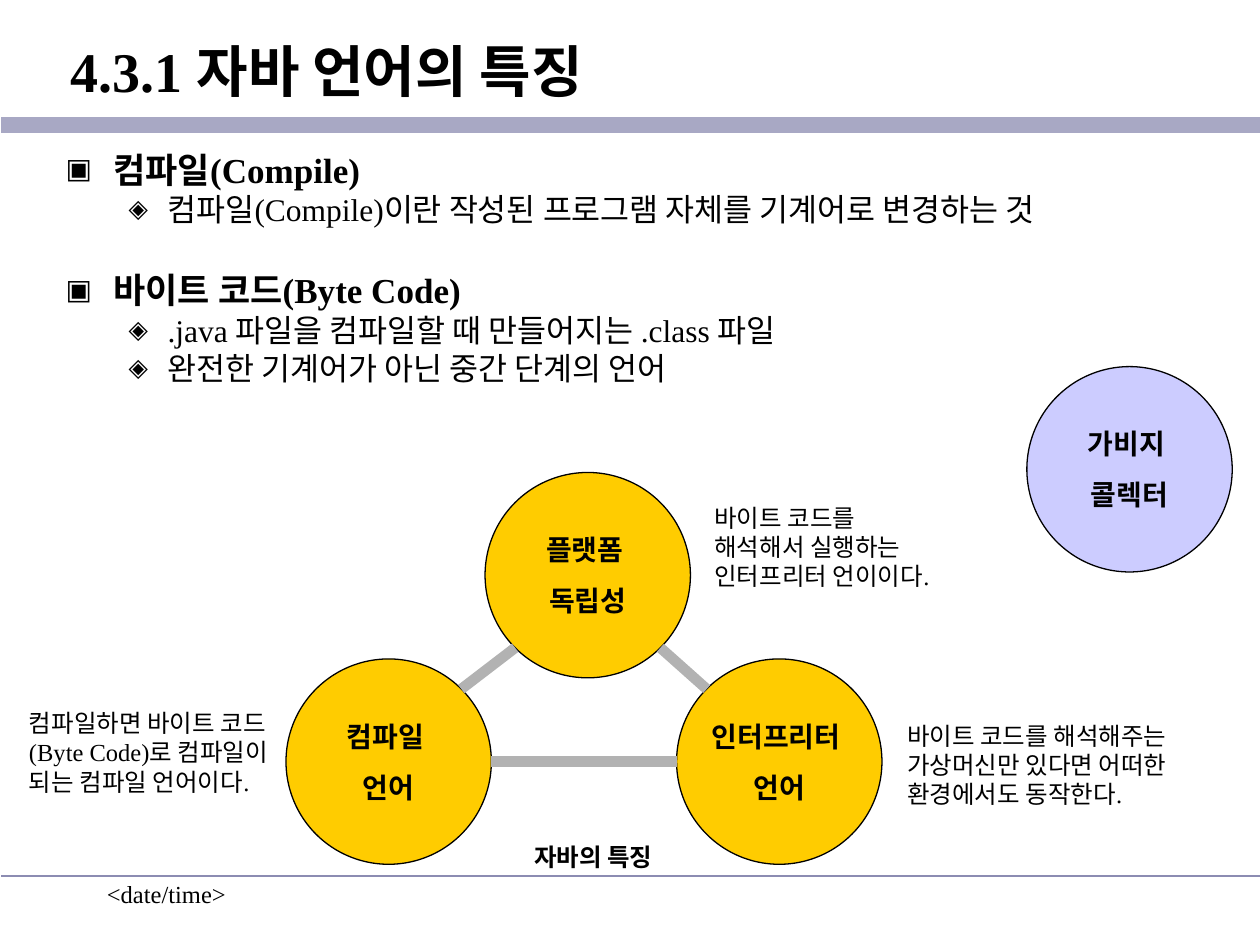
from dataclasses import dataclass
from math import cos, radians, sin

from lxml.etree import SubElement
from pptx import Presentation
from pptx.dml.color import RGBColor
from pptx.enum.shapes import MSO_CONNECTOR, MSO_SHAPE
from pptx.enum.text import MSO_ANCHOR as Anchor, MSO_AUTO_SIZE as AutoSize, PP_ALIGN as Align
from pptx.oxml.ns import qn
from pptx.util import Inches, Pt


@dataclass(frozen=True)
class Theme:
    font: str = "Times New Roman"
    ink: str = "000000"
    band: str = "A8A8C4"
    footer_rule: str = "8C8CB2"
    feature: str = "FFCC00"
    collector: str = "CCCCFF"
    link: str = "B2B2B2"
    title: int = 32
    heading: int = 20
    detail: int = 18
    label: int = 16
    note: int = 14


THEME = Theme()
DIAMETER = 1.63
LEVELS = (
    {"size": THEME.heading, "bold": True, "bullet": "▣", "margin": 0.38, "indent": -0.38, "before": 5},
    {"size": THEME.detail, "bold": False, "bullet": "◈", "margin": 0.81, "indent": -0.31, "before": 4.5},
)
SECTION_GAP = 28
OUTLINE = (
    (0, "컴파일(Compile)"),
    (1, "컴파일(Compile)이란 작성된 프로그램 자체를 기계어로 변경하는 것"),
    (0, "바이트 코드(Byte Code)"),
    (1, ".java 파일을 컴파일할 때 만들어지는 .class 파일"),
    (1, "완전한 기계어가 아닌 중간 단계의 언어"),
)
CIRCLES = {
    "platform": (3.85, 3.75, THEME.feature, ("플랫폼 ", "독립성")),
    "compiled": (2.27, 5.23, THEME.feature, ("컴파일 ", "언어")),
    "interpreted": (5.37, 5.23, THEME.feature, ("인터프리터 ", "언어")),
    "collector": (8.15, 2.91, THEME.collector, ("가비지 ", "콜렉터")),
}
LINKS = (
    ("platform", 135, "compiled", -45),
    ("interpreted", 180, "compiled", 0),
    ("platform", 45, "interpreted", -135),
)
NOTES = (
    (0.18, 5.57, 2.19, "컴파일하면 바이트 코드(Byte Code)로 컴파일이 되는 컴파일 언어이다."),
    (5.62, 3.94, 1.92, "바이트 코드를 해석해서 실행하는 인터프리터 언이이다."),
    (7.15, 5.67, 2.38, "바이트 코드를 해석해주는 가상머신만 있다면 어떠한 환경에서도 동작한다."),
)


def apply(target, values):
    for name, value in values.items():
        setattr(target, name, value)


def style(paragraph, size, bold=False):
    apply(paragraph.font, {"name": THEME.font, "size": Pt(size), "bold": bold})
    paragraph.font.color.rgb = RGBColor.from_string(THEME.ink)


def place(shape, left, top, width, height):
    apply(shape, {"left": Inches(left), "top": Inches(top),
                  "width": Inches(width), "height": Inches(height)})


def add_bullet(paragraph, level):
    properties = paragraph._p.get_or_add_pPr()
    properties.set("marL", str(Inches(level["margin"])))
    properties.set("indent", str(Inches(level["indent"])))
    color = SubElement(properties, qn("a:buClr"))
    SubElement(color, qn("a:srgbClr"), val=THEME.ink)
    SubElement(properties, qn("a:buSzPct"), val="80000")
    SubElement(properties, qn("a:buChar"), char=level["bullet"])


def fill_title(title):
    place(title, 0.01, 0.11, 9.99, 0.9)
    apply(title.text_frame, {"text": "4.3.1 자바 언어의 특징", "margin_left": Inches(0.55),
                             "vertical_anchor": Anchor.MIDDLE, "auto_size": AutoSize.NONE})
    heading = title.text_frame.paragraphs[0]
    heading.alignment = Align.LEFT
    style(heading, THEME.title, True)


def fill_outline(body):
    place(body, 0.42, 1.19, 9.16, 2.02)
    frame = body.text_frame
    apply(frame, {"text": "\n".join(text for _, text in OUTLINE), "auto_size": AutoSize.NONE})
    for index, (paragraph, (depth, _)) in enumerate(zip(frame.paragraphs, OUTLINE)):
        level = LEVELS[depth]
        add_bullet(paragraph, level)
        before = level["before"] if depth else SECTION_GAP
        apply(paragraph, {"level": depth, "line_spacing": 0.8,
                          "space_before": Pt(before if index else 0)})
        style(paragraph, level["size"], level["bold"])


def add_line(slide, start, end, color, width):
    line = slide.shapes.add_connector(MSO_CONNECTOR.STRAIGHT, *map(Inches, start + end))
    line.line.color.rgb = RGBColor.from_string(color)
    line.line.width = Pt(width)
    SubElement(line._element.spPr, qn("a:effectLst"))


def add_circle(slide, left, top, color, words):
    circle = slide.shapes.add_shape(MSO_SHAPE.OVAL, *map(Inches, (left, top, DIAMETER, DIAMETER)))
    circle.shadow.inherit = False
    circle.fill.solid()
    circle.fill.fore_color.rgb = RGBColor.from_string(color)
    circle.line.color.rgb = RGBColor.from_string(THEME.ink)
    circle.line.width = Pt(0.75)
    apply(circle.text_frame, {"text": "\n".join(words), "word_wrap": False,
                              "vertical_anchor": Anchor.MIDDLE})
    for index, paragraph in enumerate(circle.text_frame.paragraphs):
        apply(paragraph, {"alignment": Align.CENTER, "space_before": Pt(10 if index else 0)})
        style(paragraph, THEME.label, True)


def rim_point(name, angle):
    left, top = CIRCLES[name][:2]
    radius = DIAMETER / 2
    return (left + radius * (1 + cos(radians(angle))),
            top + radius * (1 + sin(radians(angle))))


def add_text(slide, box, text, bold=False, **frame_format):
    label = slide.shapes.add_textbox(*map(Inches, box))
    apply(label.text_frame, {"text": text, "word_wrap": True, **frame_format})
    style(label.text_frame.paragraphs[0], THEME.note, bold)


def main():
    deck = Presentation()
    apply(deck, {"slide_width": Inches(10), "slide_height": Inches(7.5)})
    slide = deck.slides.add_slide(deck.slide_layouts[1])
    add_text(slide, (0.75, 6.93, 2.08, 0.5), "<date/time>")
    add_line(slide, (0.01, 0.99), (10, 0.99), THEME.band, 9.25)
    add_line(slide, (0.01, 6.95), (10, 6.95), THEME.footer_rule, 1)
    fill_title(slide.shapes.title)
    fill_outline(slide.placeholders[1])
    for circle in CIRCLES.values():
        add_circle(slide, *circle)
    for source, source_angle, target, target_angle in LINKS:
        add_line(slide, rim_point(source, source_angle), rim_point(target, target_angle),
                 THEME.link, 6)
    add_text(slide, (4.14, 6.63, 1.14, 0.34), "자바의 특징", True, word_wrap=False)
    for left, top, width, text in NOTES:
        add_text(slide, (left, top, width, 0.8), text,
                 margin_left=Inches(0.05), margin_right=0)
    deck.save("out.pptx")


if __name__ == "__main__":
    main()
